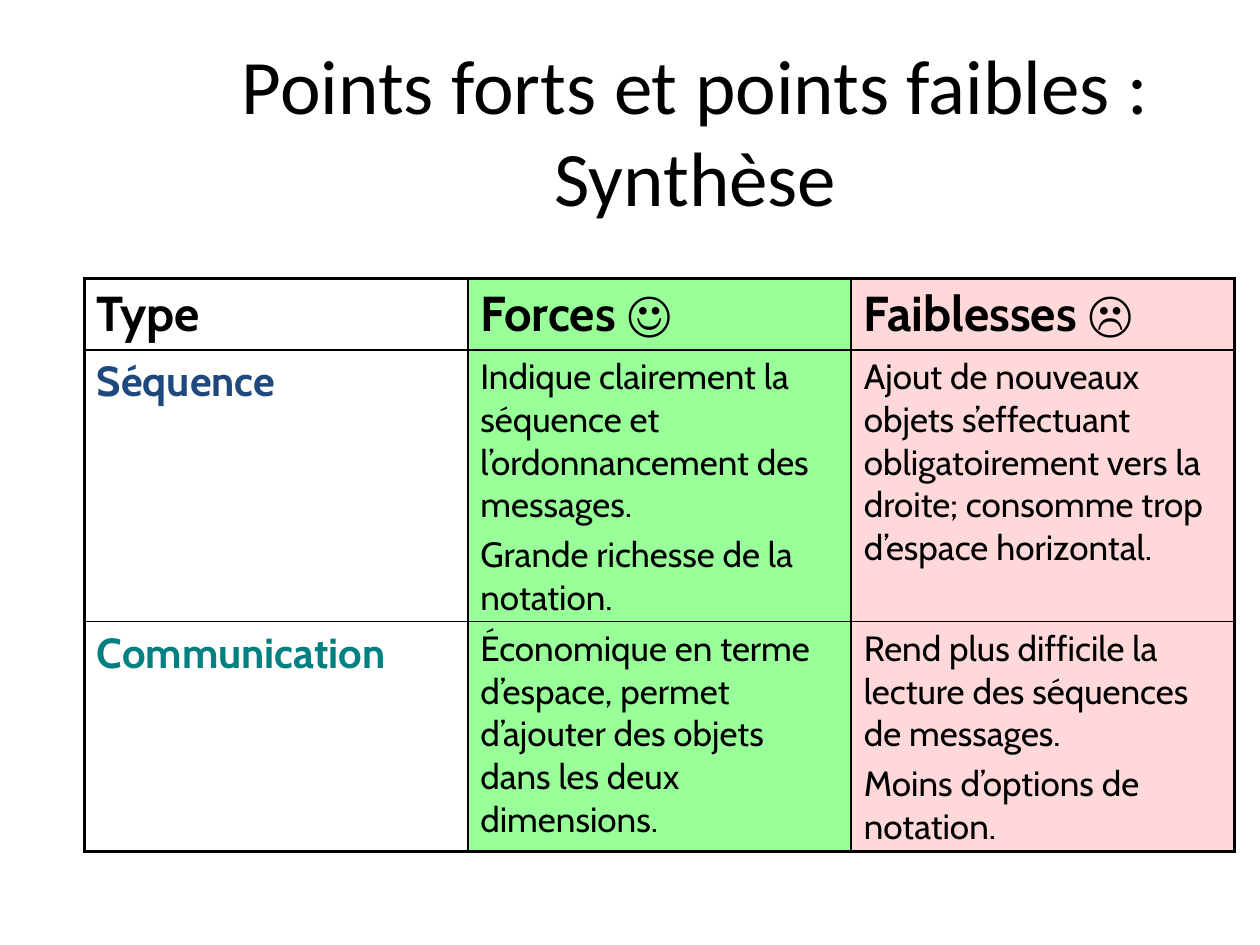
from dataclasses import dataclass

from lxml import etree
from pptx import Presentation
from pptx.dml.color import RGBColor
from pptx.enum.text import MSO_ANCHOR, PP_ALIGN
from pptx.oxml.ns import qn
from pptx.util import Cm, Pt

CENTER = PP_ALIGN.CENTER
MIDDLE = MSO_ANCHOR.MIDDLE
BLACK = "000000"
THIN, THICK = Pt(1), Pt(2.25)
COLUMN_FILLS = [None, "99FF99", "FFD9DA"]
COLUMN_WIDTH = Cm(7.73)
ROW_HEIGHTS = [Cm(1.37), Cm(3.81), Cm(3.81)]


@dataclass
class Entry:
    """Text and style of one table cell."""

    lines: list[str]
    size: int = 20
    bold: bool = False
    color: str = BLACK


ROWS = [
    [Entry([heading], 28, True) for heading in ("Type", "Forces ☺", "Faiblesses ☹")],
    [
        Entry(["Séquence"], 24, True, "1F497D"),
        Entry([
            "Indique clairement la séquence et l’ordonnancement des messages.",
            "Grande richesse de la notation.",
        ]),
        Entry([
            "Ajout de nouveaux objets s’effectuant obligatoirement vers la droite; "
            "consomme trop d’espace horizontal.",
        ]),
    ],
    [
        Entry(["Communication"], 24, True, "008080"),
        Entry([
            "Économique en terme d’espace, permet d’ajouter des objets "
            "dans les deux dimensions.",
        ]),
        Entry([
            "Rend plus difficile la lecture des séquences de messages.",
            "Moins d’options de notation.",
        ]),
    ],
]


def rgb(color: str) -> RGBColor:
    """Turn a hex string into a colour."""
    return RGBColor.from_string(color)


def style_font(font, name: str, size: int, color: str, bold: bool = False) -> None:
    """Set the face, size, colour and weight of a font."""
    font.name = name
    font.size = Pt(size)
    font.bold = bold
    font.color.rgb = rgb(color)


def add_title(page, text: str) -> None:
    """Add the centred slide title."""
    box = page.shapes.add_textbox(Cm(3.2), Cm(0.58), Cm(21.64), Cm(4.06))
    frame = box.text_frame
    frame.word_wrap = True
    frame.vertical_anchor = MIDDLE
    para = frame.paragraphs[0]
    para.text = text
    para.alignment = CENTER
    style_font(para.font, "Calibri", 44, BLACK)


def set_borders(cell, widths: dict[str, int]) -> None:
    """Draw solid black cell borders, given a width for each side."""
    properties = cell._tc.get_or_add_tcPr()
    for index, (side, width) in enumerate(widths.items()):
        line = etree.Element(qn(f"a:ln{side}"), w=str(int(width)))
        fill = etree.SubElement(line, qn("a:solidFill"))
        etree.SubElement(fill, qn("a:srgbClr"), val=BLACK)
        properties.insert(index, line)


def fill_cell(cell, entry: Entry, color: str | None) -> None:
    """Write an entry into a cell and colour its background."""
    if color:
        cell.fill.solid()
        cell.fill.fore_color.rgb = rgb(color)
    else:
        cell.fill.background()
    cell.text = "\n".join(entry.lines)
    for index, para in enumerate(cell.text_frame.paragraphs):
        style_font(para.font, "Cabin", entry.size, entry.color, entry.bold)
        if index:
            para.space_before = Pt(entry.size * 0.2)


def add_comparison(page, rows: list[list[Entry]]) -> None:
    """Add the table of strengths and weaknesses."""
    last_row, last_column = len(rows) - 1, len(COLUMN_FILLS) - 1
    frame = page.shapes.add_table(
        len(rows), len(COLUMN_FILLS), Cm(1.7), Cm(5.61),
        COLUMN_WIDTH * len(COLUMN_FILLS), sum(ROW_HEIGHTS),
    )
    table = frame.table
    table.first_row = table.horz_banding = False
    for row, height in zip(table.rows, ROW_HEIGHTS):
        row.height = height
    for r, entries in enumerate(rows):
        for c, entry in enumerate(entries):
            cell = table.cell(r, c)
            fill_cell(cell, entry, COLUMN_FILLS[c])
            set_borders(cell, {
                "L": THICK if c == 0 else THIN,
                "R": THICK if c == last_column else THIN,
                "T": THICK if r == 0 else THIN,
                "B": THICK if r == last_row else THIN,
            })
    frame.height = Cm(11.61)


def main() -> None:
    """Build and save the deck."""
    deck = Presentation()
    deck.slide_width, deck.slide_height = Cm(25.4), Cm(19.05)
    page = deck.slides.add_slide(deck.slide_layouts[6])
    add_title(page, "Points forts et points faibles : Synthèse")
    add_comparison(page, ROWS)
    deck.save("out.pptx")


main()
